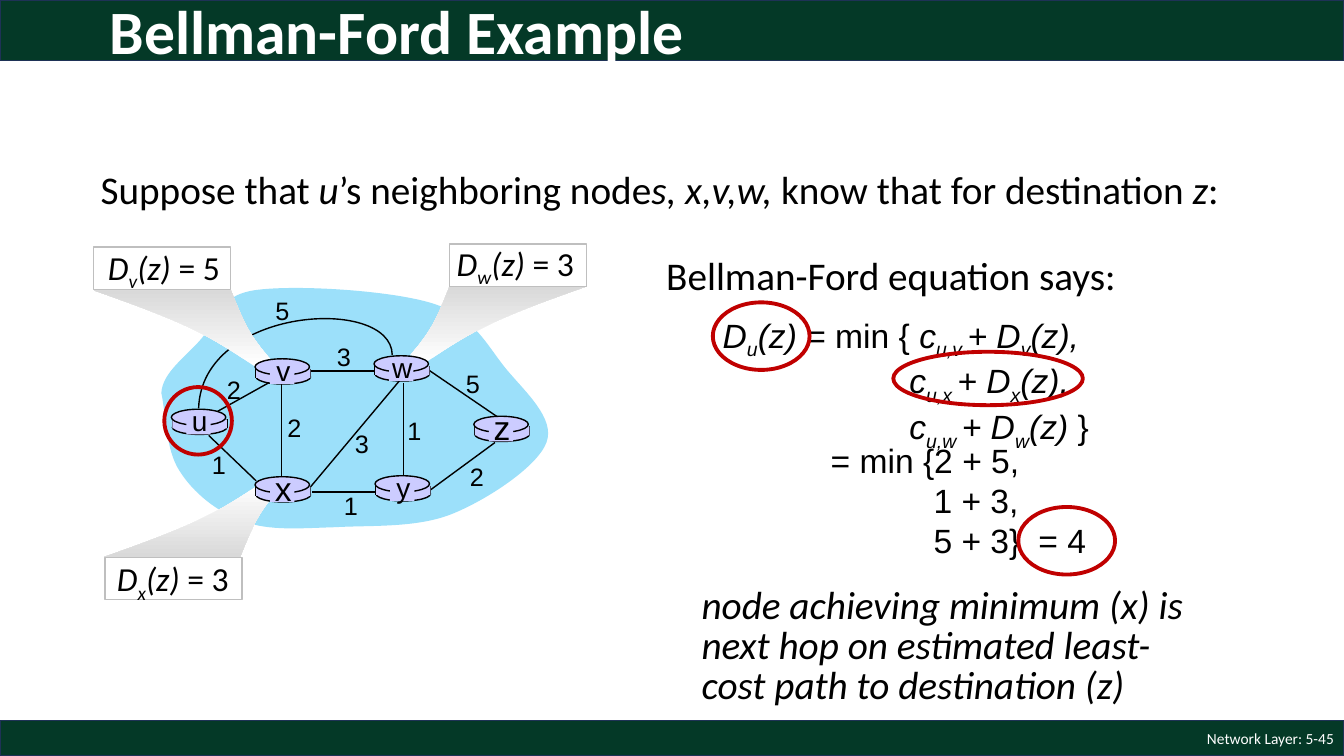
"""Build the Bellman-Ford example slide: a router graph beside its worked equation."""
from lxml import etree
from pptx import Presentation
from pptx import util as u
from pptx.dml.color import RGBColor
from pptx.enum import shapes, text
from pptx.oxml.ns import qn

THEME = {
    "bar": "043927", "bar_line": "1E3256", "white": "FFFFFF", "ink": "000000",
    "cloud": "9CE0FA", "router": "CCCCFF", "ring": "C00000",
    "box_line": "BFBFBF", "wedge": "D9D9D9",
    "title": 44, "body": 28, "math": 24, "node": 20, "cost": 18, "footer": 11,
    "sans": "Calibri", "plain": "Arial",
}
RECT, OVAL = shapes.MSO_SHAPE.RECTANGLE, shapes.MSO_SHAPE.OVAL
LEFT, CENTER, RIGHT = text.PP_ALIGN.LEFT, text.PP_ALIGN.CENTER, text.PP_ALIGN.RIGHT
TOP, MIDDLE = text.MSO_ANCHOR.TOP, text.MSO_ANCHOR.MIDDLE

prs = Presentation()
prs.slide_width, prs.slide_height = u.Inches(13.33), u.Inches(7.5)
ROWS = 75
CELL = prs.slide_height / ROWS
COLS = prs.slide_width / CELL
s = prs.slides.add_slide(prs.slide_layouts[6])


def draw(kind, at, fill=None, line=None, weight=1):
    """Draw a preset, a straight line, or a curve whose steps hold one or three points."""
    if kind == "line":
        sp = s.shapes.add_connector(shapes.MSO_CONNECTOR.STRAIGHT, *(round(v * CELL) for v in at))
    elif kind == "curve":
        start, *steps = at
        points = [(round(x * CELL), round(y * CELL)) for x, y in [start, *sum(steps, ())]]
        fb = s.shapes.build_freeform(*points[0])
        fb.add_line_segments(points[1:], close=fill is not None)
        sp = fb.convert_to_shape()
        segments = iter(list(sp._element.iter(qn("a:lnTo"))))
        for step in steps:
            first, *rest = [next(segments) for _ in step]
            if rest:
                first.tag = qn("a:cubicBezTo")
            for segment in rest:
                first.append(segment[0])
                segment.getparent().remove(segment)
    else:
        sp = s.shapes.add_shape(kind, *(round(v * CELL) for v in at))
    if line:
        sp.line.color.rgb = RGBColor.from_string(line)
        sp.line.width = u.Pt(weight)
    else:
        sp.line.fill.background()
    if kind == "line":
        etree.SubElement(sp._element.spPr, qn("a:effectLst"))
        return sp
    sp.shadow.inherit = False
    if fill:
        sp.fill.solid()
        sp.fill.fore_color.rgb = RGBColor.from_string(fill)
    else:
        sp.fill.background()
    return sp


def write(at, paragraphs, size, font="sans", color="ink", align=LEFT, anchor=TOP,
          bold=False, spacing=None, tabs=()):
    """Write paragraphs of (text, style) pieces; style i is italic, s is subscript."""
    tf = s.shapes.add_textbox(*(round(v * CELL) for v in at)).text_frame
    tf.word_wrap, tf.vertical_anchor = True, anchor
    for k, pieces in enumerate(paragraphs):
        p = tf.add_paragraph() if k else tf.paragraphs[0]
        if tabs:
            stops = etree.SubElement(p._p.get_or_add_pPr(), qn("a:tabLst"))
            for tab in tabs:
                etree.SubElement(stops, qn("a:tab"), pos=str(round(tab * CELL)), algn="l")
        p.alignment = align
        if spacing:
            p.line_spacing = spacing
        for content, style in pieces:
            r = p.add_run()
            r.text = content
            r.font.name, r.font.size = THEME[font], u.Pt(THEME[size])
            r.font.bold, r.font.italic = bold, "i" in style
            r.font.color.rgb = RGBColor.from_string(THEME[color])
            if "s" in style:
                r._r.get_or_add_rPr().set("baseline", "-25000")
    return tf


for top, height in ((71.5, 3.5), (0, 6)):
    draw(RECT, (0, top, COLS, height), THEME["bar"], THEME["bar_line"])
write((9.9, -1.5, 115, 9.8), [[("Bellman-Ford Example", "")]], "title", color="white",
      anchor=MIDDLE, bold=True, spacing=0.9)
write((103.3, 71.5, 30, 3.5), [[("Network Layer: 5-45", "")]], "footer", color="white",
      align=RIGHT, anchor=MIDDLE)

draw("curve", [
    (16, 39),
    ((16.1, 37), (18.3, 35.5), (19.8, 33.8)), ((21.4, 32.1), (21.4, 29.4), (25.2, 28.8)),
    ((29.1, 28.2), (38.8, 28.8), (42.9, 30.1)), ((47.1, 31.4), (48.3, 34.3), (50.2, 36.6)),
    ((52.1, 38.9), (55.1, 41.5), (54.2, 43.9)), ((53.3, 46.3), (48.3, 49.6), (44.8, 51)),
    ((41.3, 52.4), (36.7, 52.1), (33.3, 52.3)), ((29.8, 52.4), (26.7, 52.7), (24.1, 51.7)),
    ((21.5, 50.8), (19.1, 48.8), (17.8, 46.7)), ((16.4, 44.6), (16.4, 40.6), (16, 39)),
], THEME["cloud"])

edges = [
    (21.6, 40.8, 27.5, 37.5), (40, 38, 40, 47.1), (27.9, 38.1, 27.9, 47.4),
    (30.8, 48.3, 39.6, 37.8), (42.7, 48.6, 49.1, 43.9), (37.3, 48.8, 30.9, 48.8),
    (25.4, 47.7, 20.7, 43.2), (37.2, 36.8, 30.8, 36.8), (49.4, 41.4, 42.5, 36.7),
]
for edge in edges:
    draw("line", edge, line=THEME["ink"])
draw("curve", [(38.9, 35.2), ((38.8, 29.3), (20, 30.4), (19.7, 40.5))], line=THEME["ink"])

wedge = [((17.5, 6.8),), ((15.9, 7.5),), ((11.3, 4.4), (9.4, 3.3), (0, 0)), ((13.6, 0),),
         ((15, 3.5), (15.5, 4.5), (17.5, 6.8))]
callouts = [
    ("v", "5", (9.3, 28.8), (1, 1), (9.3, 24.5), (8.4, 24, 14.9, 5)),
    ("w", "3", (58.2, 28.4), (-1, 1), (44.6, 24.2), (43, 23.6, 15.5, 5)),
    ("x", "3", (10.2, 55.3), (1, -1), (10.4, 55.3), (9.3, 54.9, 14.9, 5)),
]
for name, cost, (x, y), (dx, dy), box, label in callouts:
    start, *steps = [tuple((x + dx * px, y + dy * py) for px, py in step) for step in wedge]
    sp = draw("curve", [start[0], *steps], THEME["white"])
    sp.fill.gradient()
    sp.fill.gradient_angle = 90 * dy % 360
    for stop, color in zip(sp.fill.gradient_stops, ("white", "wedge")):
        stop.color.rgb = RGBColor.from_string(THEME[color])
    draw(RECT, (*box, 13.6, 4.2), THEME["white"], THEME["box_line"])
    tf = write(label, [[("D", "i"), (name, "is"), ("(z) ", "i"), (f"= {cost}", "")]], "math")
    tf.margin_left = round(2.3 * CELL)
    tf.margin_right = 0

routers = [("u", 17, 40.6, "node"), ("y", 37.2, 47.2, "node"), ("z", 47, 41.3, "math"),
           ("v", 25.3, 35.6, "node"), ("w", 37.1, 35.3, "node"), ("x", 25.3, 47.3, "math")]
for name, x, y, size in routers:
    draw(OVAL, (x + 0.1, y + 1.1, 5.4, 1.4), THEME["router"], THEME["ink"])
    for side in (x + 0.1, x + 5.5):
        draw("line", (side, y + 1, side, y + 1.9), line=THEME["ink"])
    draw(RECT, (x + 0.1, y + 1, 5.4, 0.9), THEME["router"])
    draw(OVAL, (x, y, 5.4, 1.6), THEME["router"], THEME["ink"])
    draw(RECT, (x + 1.5, y + 0.2, 2.4, 2.3), THEME["router"])
    height = 5 if size == "math" else 4.3
    write((x + 0.8, y + 1.1 - height / 2, 4, height), [[(name, "")]], size, "plain", align=CENTER)

costs = [("2", 21.5, 36.6), ("2", 27.5, 40.4), ("1", 20, 44.1), ("3", 34.2, 42),
         ("1", 33.1, 48.2), ("1", 39.4, 40.7), ("2", 45.6, 45.3), ("5", 45.2, 36),
         ("3", 32.4, 33.4), ("5", 26.3, 28.8)]
for cost, x, y in costs:
    write((x, y, 3.4, 4), [[(cost, "")]], "cost", "plain", align=CENTER)

write((9, 15.9, 121, 5.7), [[
    ("Suppose that ", ""), ("u", "i"), ("’s neighboring node", ""), ("s, x,v,w, ", "i"),
    ("know that for destination", ""), (" z", "i"), (":", "")]], "body")
write((65.1, 24.4, 47.4, 5.7), [[("Bellman-Ford equation says:", "")]], "body")

formula = []
for name, lead, tail in (
        ("v", [("D", "i"), ("u", "is"), ("(z) ", "i"), ("= min { ", "")], [("(z),", "i")]),
        ("x", [("\t", "i")], [("(z),", "i")]),
        ("w", [("\t", "i")], [("(z) ", "i"), ("}", "")])):
    formula.append(lead + [("c", "i"), (f"u,{name} ", "is"), ("+ D", "i"), (name, "is")] + tail)
write((70.7, 30.7, 39.3, 13.1), formula, "math", "plain", tabs=(18.5,))
write((81.4, 43.1, 28.5, 13.1),
      [[(row, "")] for row in ("= min {2 + 5,", "\t1 + 3,", "\t5 + 3}\t= 4")],
      "math", "plain", tabs=(10.2, 20.6))
write((68.6, 57.8, 52.2, 13.1), [[(
    "node achieving minimum (x) is next hop on estimated least-cost path to destination (z)",
    "i")]], "body", spacing=0.85)

for ring in ((16.3, 38.4, 6.7, 6.7), (70.7, 30, 9.6, 6.7), (101, 50.3, 9.6, 6.7),
             (88.6, 34.9, 18.8, 5.3)):
    draw(OVAL, ring, line=THEME["ring"], weight=2.75)

prs.save("out.pptx")
